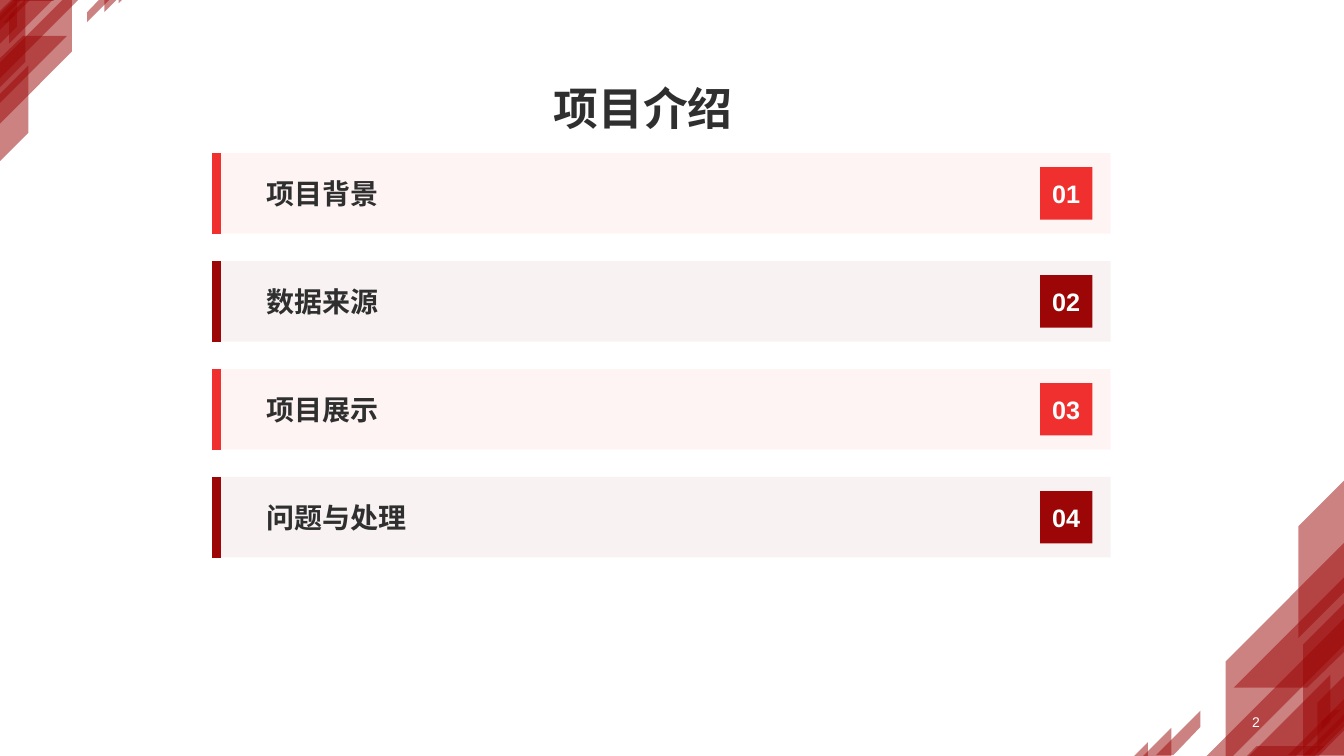
"""Build the project introduction agenda slide with four numbered rows."""
from lxml import etree
from pptx import Presentation
from pptx.dml.color import RGBColor
from pptx.enum.shapes import MSO_CONNECTOR, MSO_SHAPE
from pptx.enum.text import MSO_ANCHOR, PP_ALIGN
from pptx.oxml.ns import qn
from pptx.util import Cm, Pt

RECTANGLE = MSO_SHAPE.RECTANGLE
STRAIGHT = MSO_CONNECTOR.STRAIGHT
MIDDLE = MSO_ANCHOR.MIDDLE
LEFT, CENTER, RIGHT = PP_ALIGN.LEFT, PP_ALIGN.CENTER, PP_ALIGN.RIGHT

FONT = "Arial"
COLORS = {"bright": "F02F2F", "dark": "9C0606", "text": "2F2F2F", "white": "FFFFFF"}
TITLE = "项目介绍"
PAGE_NUMBER = "2"
TOPICS = ["项目背景", "数据来源", "项目展示", "问题与处理"]
ROW_COLORS = ["bright", "dark"]

ROW_LEFT, ROW_TOP, ROW_WIDTH, ROW_HEIGHT, ROW_PITCH = 5.46, 3.86, 22.53, 2.03, 2.72
BADGE_LEFT, BADGE_SIZE = 26.21, 1.32
TOPIC_INDENT = 1

# Points are (distance inward from the side edge, distance from the pattern tip) in cm.
STRIPES = [
    [(0, 5.89), (1.07, 6.96), (0, 6.96)],
    [(0, 4.93), (0.71, 5.64), (0.71, 6.91), (0, 6.2)],
    [(0.3, 5.82), (0.61, 6.12), (0.61, 6.3), (0.13, 5.82)],
    [(0, 0), (1.19, 1.19), (1.19, 4.01), (0, 2.82)],
    [(0, 1.57), (3.02, 4.6), (3.02, 7.16), (0, 4.14)],
    [(0, 2.44), (2.82, 5.26), (0.97, 5.26), (0, 4.32)],
    [(1.22, 7.52), (0, 6.3), (0, 3.48), (4.04, 7.52)],
    [(4.34, 6.96), (3.66, 6.25), (3.66, 5.84), (4.78, 6.96)],
    [(0.43, 7.52), (0, 7.09), (0, 3.1), (1.07, 4.17), (1.07, 7.52)],
    [(1.32, 7.52), (0.53, 6.73), (2.24, 6.73), (3.02, 7.52)],
    [(4.39, 7.52), (4.39, 6.27), (5.64, 7.52)],
    [(0, 5.51), (1.45, 6.96), (0.91, 6.96), (0, 6.05)],
    [(1.8, 7.52), (0.38, 6.12), (0.38, 4.93), (2.97, 7.52)],
    [(5.41, 7.7), (4.98, 7.26), (4.98, 6.63), (6.05, 7.7)],
]
CORNERS = [(33.91, 12.07, -1), (0, 4.06, 0.6)]


def rgb(name):
    return RGBColor.from_string(COLORS[name])


def paint(shape, color, opacity=100):
    shape.shadow.inherit = False
    shape.line.fill.background()
    shape.fill.solid()
    shape.fill.fore_color.rgb = rgb(color)
    if opacity < 100:
        tone = shape.fill._xPr.find(".//" + qn("a:srgbClr"))
        etree.SubElement(tone, qn("a:alpha")).set("val", str(opacity * 1000))


def write(shape, text, size, color, align, bold=True, wrap=True):
    frame = shape.text_frame
    frame.word_wrap = wrap
    frame.vertical_anchor = MIDDLE
    para = frame.paragraphs[0]
    para.alignment = align
    span = para.add_run()
    span.text = text
    span.font.name = FONT
    span.font.size = Pt(size)
    span.font.bold = bold
    span.font.color.rgb = rgb(color)
    return para


def add_corner(page, origin_x, origin_y, scale):
    for stripe in STRIPES:
        points = [(Cm(origin_x + scale * inward), Cm(origin_y - scale * along))
                  for inward, along in stripe]
        outline = page.shapes.build_freeform(*points[0])
        outline.add_line_segments(points[1:], close=True)
        paint(outline.convert_to_shape(), "dark", 50)


def add_row(page, index, topic):
    color = ROW_COLORS[index % len(ROW_COLORS)]
    top = ROW_TOP + index * ROW_PITCH

    band = page.shapes.add_shape(
        RECTANGLE, Cm(ROW_LEFT), Cm(top), Cm(ROW_WIDTH), Cm(ROW_HEIGHT))
    paint(band, color, 5)
    para = write(band, topic, 20, "text", LEFT)
    para._p.get_or_add_pPr().set("marL", str(Cm(TOPIC_INDENT)))

    edge = page.shapes.add_connector(
        STRAIGHT, Cm(ROW_LEFT), Cm(top), Cm(ROW_LEFT), Cm(top + ROW_HEIGHT))
    edge.line.color.rgb = rgb(color)
    edge.line.width = Pt(6)
    etree.SubElement(edge._element.spPr, qn("a:effectLst"))

    badge_top = top + (ROW_HEIGHT - BADGE_SIZE) / 2
    badge = page.shapes.add_shape(
        RECTANGLE, Cm(BADGE_LEFT), Cm(badge_top), Cm(BADGE_SIZE), Cm(BADGE_SIZE))
    paint(badge, color)
    write(badge, f"{index + 1:02d}", 18, "white", CENTER)


def main():
    deck = Presentation()
    deck.slide_width, deck.slide_height = Cm(33.87), Cm(19.05)
    page = deck.slides.add_slide(deck.slide_layouts[5])

    for corner in CORNERS:
        add_corner(page, *corner)

    title = page.shapes.title
    title.left, title.top, title.width, title.height = Cm(13.67), Cm(1.9), Cm(5.08), Cm(1.63)
    write(title, TITLE, 32, "text", CENTER, wrap=False)

    for index, topic in enumerate(TOPICS):
        add_row(page, index, topic)

    number_box = page.shapes.add_textbox(Cm(24.61), Cm(17.88), Cm(7.39), Cm(0.61))
    write(number_box, PAGE_NUMBER, 10, "white", RIGHT, bold=False)

    deck.save("out.pptx")


if __name__ == "__main__":
    main()
